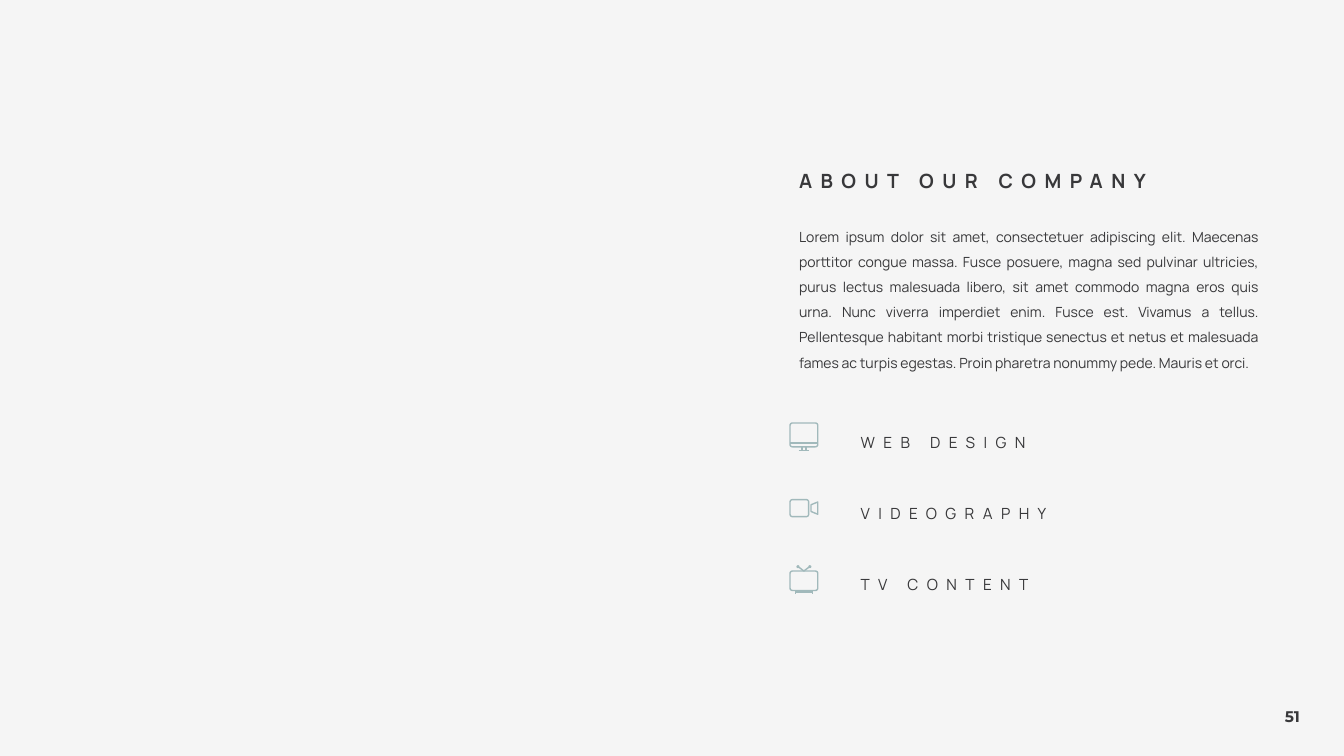
"""Build the company overview slide with its three services."""
from dataclasses import dataclass
from math import cos, pi, sin
from typing import Any

from pptx import Presentation
from pptx.dml.color import RGBColor
from pptx.enum.text import MSO_ANCHOR, MSO_AUTO_SIZE, PP_ALIGN
from pptx.util import Cm, Pt

Point = tuple[float, float]


@dataclass(frozen=True)
class Theme:
    """Colours, typefaces and type sizes."""

    background: RGBColor = RGBColor(0xF5, 0xF5, 0xF5)
    ink: RGBColor = RGBColor(0x38, 0x38, 0x3A)
    accent: RGBColor = RGBColor(0xA1, 0xB9, 0xBB)
    text_face: str = "Manrope"
    number_face: str = "Montserrat"
    heading_size: Pt = Pt(14)
    label_size: Pt = Pt(11)
    body_size: Pt = Pt(10)
    icon_stroke: Pt = Pt(1)
    tracking: int = 600


@dataclass(frozen=True)
class Contour:
    """One stroke of an icon, in centimetres from the icon's corner."""

    points: list[Point]
    closed: bool = False


@dataclass(frozen=True)
class TextBlock:
    """A text box with its place in centimetres and its formats."""

    text: str
    left: float
    top: float
    width: float
    height: float
    font: dict[str, Any]
    frame: dict[str, Any]
    paragraph: dict[str, Any]
    tracking: int = 0


@dataclass(frozen=True)
class Service:
    """A service label and its icon, lowered from the row's top."""

    label: str
    icon_drop: float
    contours: list[Contour]


THEME = Theme()
UNITS_PER_CM = 1000
ICON_LEFT = 19.89
LABEL_LEFT = 21.44
FIRST_ROW_TOP = 10.54
ROW_PITCH = 1.79
BODY_TEXT = (
    "Lorem ipsum dolor sit amet, consectetuer adipiscing elit. Maecenas porttitor "
    "congue massa. Fusce posuere, magna sed pulvinar ultricies, purus lectus malesuada "
    "libero, sit amet commodo magna eros quis urna. Nunc viverra imperdiet enim. Fusce "
    "est. Vivamus a tellus. Pellentesque habitant morbi tristique senectus et netus et "
    "malesuada fames ac turpis egestas. Proin pharetra nonummy pede. Mauris et orci."
)


def rounded(left: float, top: float, right: float, bottom: float, radius: float = 0.06) -> Contour:
    """Return a rectangle with rounded corners."""
    centres = [
        (right - radius, bottom - radius),
        (left + radius, bottom - radius),
        (left + radius, top + radius),
        (right - radius, top + radius),
    ]
    points = [
        (x + radius * cos(angle), y + radius * sin(angle))
        for corner, (x, y) in enumerate(centres)
        for angle in [(corner + step / 4) * pi / 2 for step in range(5)]
    ]
    return Contour(points, closed=True)


SERVICES = [
    Service("WEB DESIGN", 0.1, [
        rounded(0.02, 0.02, 0.72, 0.62),
        Contour([(0.02, 0.52), (0.72, 0.52)]),
        Contour([(0.32, 0.62), (0.32, 0.72)]),
        Contour([(0.42, 0.62), (0.42, 0.72)]),
        Contour([(0.24, 0.72), (0.5, 0.72)]),
    ]),
    Service("VIDEOGRAPHY", 0.24, [
        rounded(0.02, 0.02, 0.49, 0.45),
        Contour([(0.72, 0.08), (0.55, 0.15), (0.55, 0.32), (0.72, 0.39)], closed=True),
    ]),
    Service("TV CONTENT", 0.12, [
        rounded(0.02, 0.15, 0.72, 0.64),
        Contour([(0.24, 0.05), (0.37, 0.15), (0.5, 0.05)]),
        rounded(0.2, 0.02, 0.24, 0.06, 0.02),
        rounded(0.5, 0.02, 0.54, 0.06, 0.02),
        Contour([(0.16, 0.64), (0.16, 0.72)]),
        Contour([(0.58, 0.64), (0.58, 0.72)]),
        Contour([(0.16, 0.68), (0.58, 0.68)]),
    ]),
]


def apply_formats(target: Any, formats: dict[str, Any]) -> None:
    """Set each named attribute on the target."""
    for name, value in formats.items():
        setattr(target, name, value)


def add_text(shapes: Any, block: TextBlock) -> None:
    """Add a text block to the shapes."""
    box = shapes.add_textbox(Cm(block.left), Cm(block.top), Cm(block.width), Cm(block.height))
    frame = box.text_frame
    apply_formats(frame, {"auto_size": MSO_AUTO_SIZE.SHAPE_TO_FIT_TEXT, "word_wrap": True} | block.frame)
    paragraph = frame.paragraphs[0]
    apply_formats(paragraph, block.paragraph)
    run = paragraph.add_run()
    run.text = block.text
    apply_formats(run.font, {"name": THEME.text_face} | block.font)
    run.font.color.rgb = THEME.ink
    if block.tracking:
        run._r.get_or_add_rPr().set("spc", str(block.tracking))


def add_icon(shapes: Any, contours: list[Contour], left: float, top: float) -> None:
    """Add the contours as one outlined freeform."""
    scaled = [[(x * UNITS_PER_CM, y * UNITS_PER_CM) for x, y in contour.points] for contour in contours]
    builder = shapes.build_freeform(*scaled[0][0], scale=Cm(1) / UNITS_PER_CM)
    for index, (contour, points) in enumerate(zip(contours, scaled)):
        if index:
            builder.move_to(*points[0])
        builder.add_line_segments(points[1:], close=contour.closed)
    icon = builder.convert_to_shape(Cm(left), Cm(top))
    icon.shadow.inherit = False
    icon.fill.background()
    icon.line.color.rgb = THEME.accent
    icon.line.width = THEME.icon_stroke


def add_service(slide: Any, service: Service, top: float) -> None:
    """Add a group holding a service's icon and label."""
    group = slide.shapes.add_group_shape()
    add_icon(group.shapes, service.contours, ICON_LEFT, top + service.icon_drop)
    add_text(group.shapes, TextBlock(
        service.label, LABEL_LEFT, top, 6.22, 0.97,
        font={"size": THEME.label_size},
        frame={"vertical_anchor": MSO_ANCHOR.MIDDLE},
        paragraph={"line_spacing": 1.5},
        tracking=THEME.tracking,
    ))


def main() -> None:
    """Create and save the presentation."""
    presentation = Presentation()
    presentation.slide_width, presentation.slide_height = Cm(33.87), Cm(19.05)
    slide = presentation.slides.add_slide(presentation.slide_layouts[6])
    slide.background.fill.solid()
    slide.background.fill.fore_color.rgb = THEME.background

    justified = {"alignment": PP_ALIGN.JUSTIFY, "line_spacing": 1.5}
    blocks = [
        TextBlock("51", 32.13, 17.7, 1.04, 0.74,
                  {"name": THEME.number_face, "size": THEME.label_size, "bold": True},
                  {"word_wrap": False}, {}),
        TextBlock(BODY_TEXT, ICON_LEFT, 5.41, 12.07, 4.11, {"size": THEME.body_size}, {}, justified),
        TextBlock("ABOUT OUR COMPANY", ICON_LEFT, 3.84, 12.07, 1.14,
                  {"size": THEME.heading_size, "bold": True}, {}, justified, THEME.tracking),
    ]
    for block in blocks:
        add_text(slide.shapes, block)
    for row, service in enumerate(SERVICES):
        add_service(slide, service, FIRST_ROW_TOP + row * ROW_PITCH)
    presentation.save("out.pptx")


if __name__ == "__main__":
    main()
